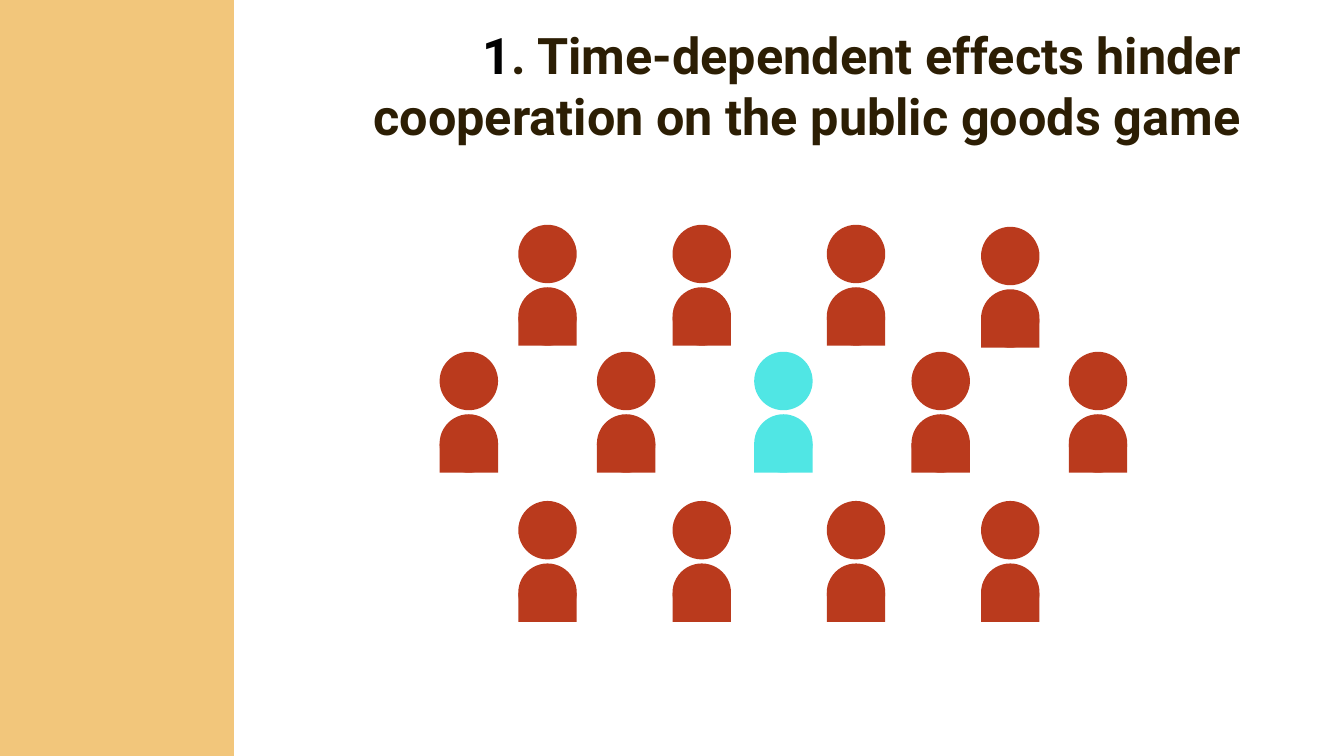
"""Build a slide of a crowd of players with one standing out."""
from pptx import Presentation
from pptx.dml.color import RGBColor
from pptx.enum.shapes import MSO_SHAPE
from pptx.enum.text import MSO_ANCHOR, PP_ALIGN
from pptx.util import Inches, Pt

COLORS = {
    "band": "F2C67B",
    "player": "BA3A1D",
    "highlight": "50E6E4",
    "number": "000000",
    "title": "2C1E04",
}
FONT = "Roboto"
HEAD = 0.58
BODY_OFFSET = 0.62
ROWS = [
    {"left": 5.14, "step": 1.53, "tops": [2.23, 2.23, 2.23, 2.25]},
    {"left": 4.36, "step": 1.56, "tops": [3.49] * 5, "highlight": 2},
    {"left": 5.14, "step": 1.53, "tops": [4.97] * 4},
]


def add_filled_shape(slide, kind, left, top, width, height, color):
    shape = slide.shapes.add_shape(
        kind, Inches(left), Inches(top), Inches(width), Inches(height)
    )
    shape.shadow.inherit = False
    shape.fill.solid()
    shape.fill.fore_color.rgb = RGBColor.from_string(COLORS[color])
    shape.line.fill.background()


def add_person(slide, left, top, color):
    body_top = top + BODY_OFFSET
    add_filled_shape(slide, MSO_SHAPE.OVAL, left, top, HEAD, HEAD, color)
    add_filled_shape(slide, MSO_SHAPE.OVAL, left, body_top, HEAD, HEAD, color)
    add_filled_shape(
        slide, MSO_SHAPE.RECTANGLE, left, body_top + HEAD / 2, HEAD, HEAD / 2, color
    )


def add_crowd(slide):
    for row in ROWS:
        for column, top in enumerate(row["tops"]):
            color = "highlight" if column == row.get("highlight") else "player"
            add_person(slide, row["left"] + column * row["step"], top, color)


def set_title(slide):
    title = slide.shapes.title
    title.left, title.top = Inches(2.32), Inches(0.19)
    title.width, title.height = Inches(10.09), Inches(2.32)
    title.text_frame.word_wrap = True
    title.text_frame.vertical_anchor = MSO_ANCHOR.TOP
    paragraph = title.text_frame.paragraphs[0]
    paragraph.alignment = PP_ALIGN.RIGHT
    paragraph.font.name = FONT
    paragraph.font.size = Pt(36)
    paragraph.font.bold = True
    for text, color in [
        ("1", "number"),
        (". Time-dependent effects hinder cooperation on the public goods game", "title"),
    ]:
        run = paragraph.add_run()
        run.text = text
        run.font.color.rgb = RGBColor.from_string(COLORS[color])


def main():
    presentation = Presentation()
    presentation.slide_width = Inches(13.33)
    presentation.slide_height = Inches(7.5)
    slide = presentation.slides.add_slide(presentation.slide_layouts[5])
    set_title(slide)
    add_filled_shape(slide, MSO_SHAPE.RECTANGLE, 0, 0, 2.32, 7.5, "band")
    add_crowd(slide)
    presentation.save("out.pptx")


if __name__ == "__main__":
    main()
